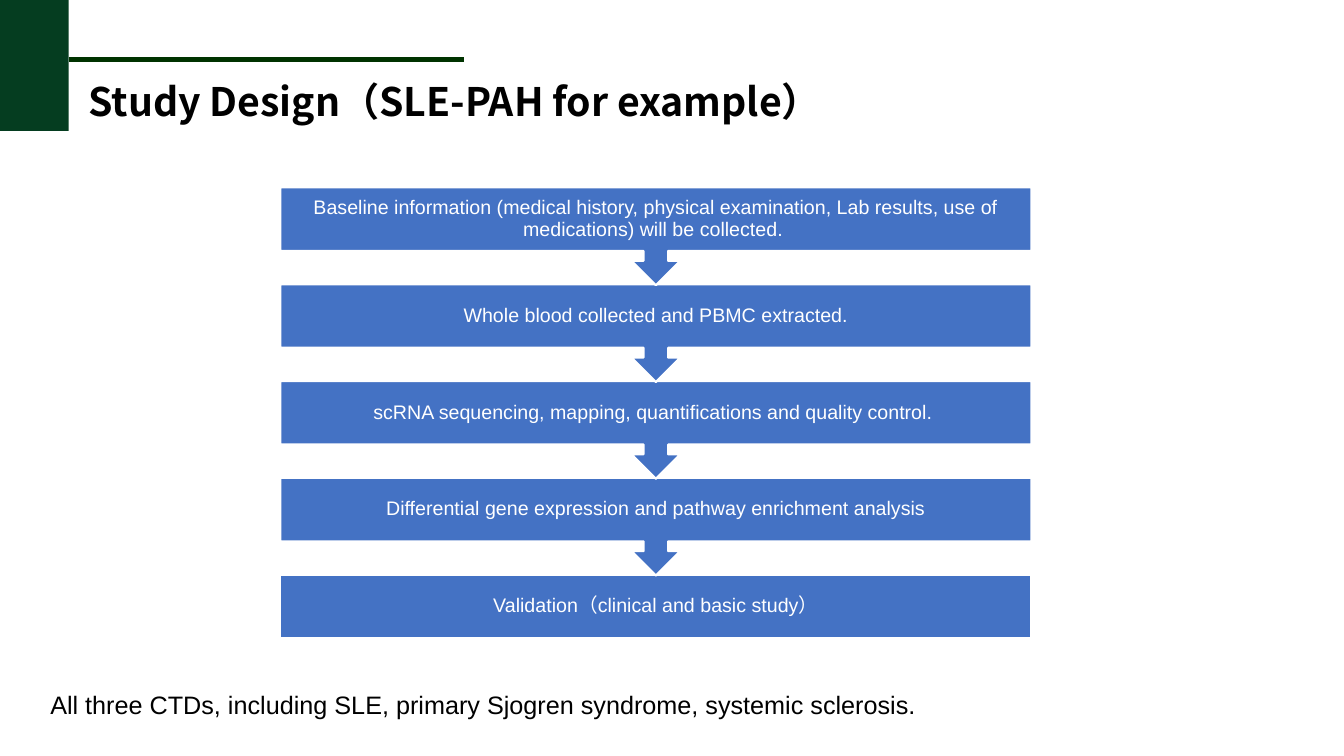
from lxml import etree
from pptx import Presentation
from pptx.dml.color import RGBColor
from pptx.enum.shapes import MSO_CONNECTOR as Connector, MSO_SHAPE as Shape
from pptx.enum.text import MSO_ANCHOR as Anchor, PP_ALIGN as Align
from pptx.oxml.ns import qn
from pptx.util import Inches, Pt

# Content
TITLE = "Study Design（SLE-PAH for example）"
STEPS = [
    "Baseline information (medical history, physical examination, Lab results, "
    "use of medications) will be collected. ",
    "Whole blood collected and PBMC extracted.",
    "scRNA sequencing, mapping, quantifications and quality control. ",
    "Differential gene expression and pathway enrichment analysis",
    "Validation（clinical and basic study）",
]
FOOTNOTE = "All three CTDs, including SLE, primary Sjogren syndrome, systemic sclerosis."

COLORS = {"corner": "053D20", "rule": "003300", "step": "4472C4",
          "white": "FFFFFF", "black": "000000"}
LATIN, CJK = "Arial", "Noto Sans CJK SC"

# Layout in inches
WIDTH, HEIGHT = 13.33, 7.5
CORNER_W, CORNER_H = 0.68, 1.3
RULE_Y, RULE_END = 0.59, 4.6
FLOW_LEFT, FLOW_TOP, FLOW_W = 2.78, 1.86, 7.45
STEP_PITCH, CALLOUT_H, LAST_H = 0.96, 0.97, 0.63


def color(name):
    return RGBColor.from_string(COLORS[name])


def write(frame, text, size, font, ink, bold=False):
    paragraph = frame.paragraphs[0]
    run = paragraph.add_run()
    run.text = text
    run.font.size, run.font.name, run.font.bold = Pt(size), font, bold
    run.font.color.rgb = color(ink)
    east_asian = etree.SubElement(run.font._element, qn("a:ea"))
    east_asian.set("typeface", CJK)
    return paragraph


def add_block(kind, left, top, width, height, fill):
    block = slide.shapes.add_shape(
        kind, Inches(left), Inches(top), Inches(width), Inches(height))
    block.shadow.inherit = False
    block.fill.solid()
    block.fill.fore_color.rgb = color(fill)
    return block


def add_label(left, top, width, height):
    return slide.shapes.add_textbox(
        Inches(left), Inches(top), Inches(width), Inches(height)).text_frame


prs = Presentation()
prs.slide_width, prs.slide_height = Inches(WIDTH), Inches(HEIGHT)
slide = prs.slides.add_slide(prs.slide_layouts[6])

# Corner block and rule
corner = add_block(Shape.RECTANGLE, 0, 0, CORNER_W, CORNER_H, "corner")
corner.line.fill.background()
rule = slide.shapes.add_connector(
    Connector.STRAIGHT, Inches(CORNER_W), Inches(RULE_Y), Inches(RULE_END), Inches(RULE_Y))
rule.line.color.rgb = color("rule")
rule.line.width = Pt(3)
etree.SubElement(rule._element.spPr, qn("a:effectLst"))

# Title
title = add_label(0.78, 0.65, 8.33, 0.75)
title.word_wrap = True
title.vertical_anchor = Anchor.MIDDLE
write(title, TITLE, 28, CJK, "black", bold=True).line_spacing = 0.9

# Steps, last one first so that each arrow tip lies over the next box
last = len(STEPS) - 1
for row, text in reversed(list(enumerate(STEPS))):
    kind, height = ((Shape.RECTANGLE, LAST_H) if row == last
                    else (Shape.DOWN_ARROW_CALLOUT, CALLOUT_H))
    step = add_block(kind, FLOW_LEFT, FLOW_TOP + row * STEP_PITCH, FLOW_W, height, "step")
    step.line.color.rgb = color("white")
    step.line.width = Pt(1.5)
    frame = step.text_frame
    frame.word_wrap = True
    frame.vertical_anchor = Anchor.MIDDLE
    frame.margin_left = frame.margin_right = Inches(0.11)
    frame.margin_top = frame.margin_bottom = Inches(0.11)
    paragraph = write(frame, text, 14, LATIN, "white")
    paragraph.alignment = Align.CENTER
    paragraph.line_spacing = 0.9

# Footnote
footnote = add_label(0.4, 6.79, 9.08, 0.4)
footnote.word_wrap = False
write(footnote, FOOTNOTE, 18, LATIN, "black")

prs.save("out.pptx")
